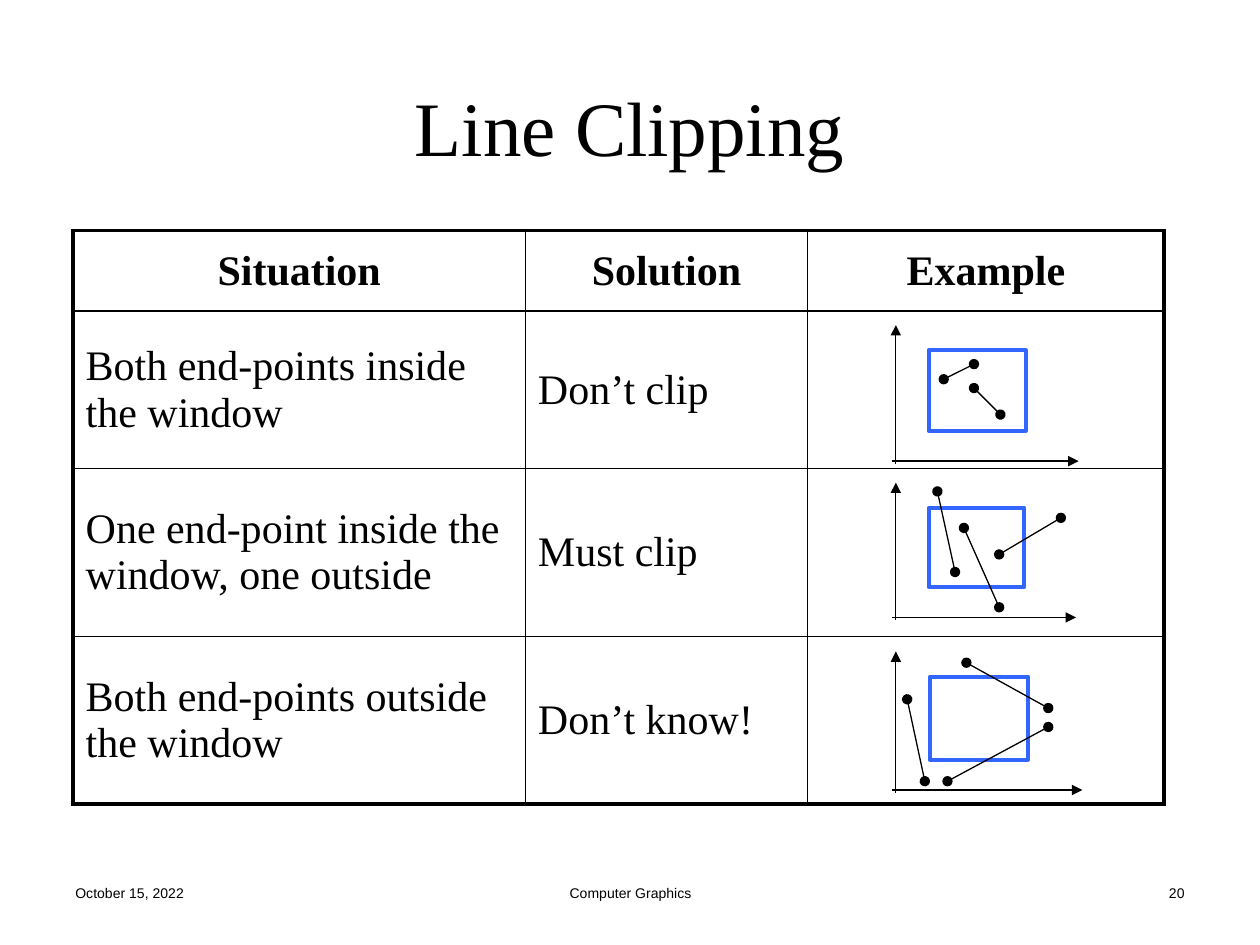
from dataclasses import dataclass

from lxml.etree import SubElement
from pptx import Presentation
from pptx.dml.color import RGBColor
from pptx.enum.shapes import MSO_CONNECTOR, MSO_SHAPE
from pptx.enum.text import MSO_ANCHOR, PP_ALIGN
from pptx.oxml.ns import qn
from pptx.util import Inches, Pt

LINE = MSO_CONNECTOR.STRAIGHT
RECT = MSO_SHAPE.RECTANGLE
MIDDLE = MSO_ANCHOR.MIDDLE
LEFT, CENTER, RIGHT = PP_ALIGN.LEFT, PP_ALIGN.CENTER, PP_ALIGN.RIGHT

WIDE, HIGH = Inches(10), Inches(7.5)
UNIT = WIDE // 1000  # the slide is a grid of 1000 columns by 750 rows
INK, BLUE = "000000", "3366FF"
SERIF, SANS = "Times New Roman", "Arial"
THICK, THIN = 2.25, 1

COLS = (359, 224, 283)
ROWS = (64, 125, 133, 133)
TEXTS = (
    ("Situation", "Solution", "Example"),
    ("Both end-points inside the window", "Don’t clip", ""),
    ("One end-point inside the window, one outside", "Must clip", ""),
    ("Both end-points outside the window", "Don’t know!", ""),
)

Point = tuple[int, int]


@dataclass
class Plot:
    """Axes at a floor row; all other points count right and up from the origin."""
    floor: int
    reach: int
    rise: int
    frame: tuple[int, int, int, int]
    lines: tuple[tuple[Point, Point], ...]


@dataclass
class Note:
    text: str
    left: int
    width: int
    align: PP_ALIGN


ORIGIN = 711
PLOTS = (
    Plot(366, 145, 108, (26, 88, 77, 64),
         (((38, 65), (62, 77)), ((62, 58), (83, 37)))),
    Plot(490, 143, 107, (26, 87, 76, 63),
         (((82, 50), (131, 79)), ((54, 71), (82, 8)), ((33, 100), (47, 36)))),
    Plot(627, 148, 110, (27, 90, 78, 66),
         (((56, 101), (121, 65)), ((41, 7), (121, 50)), ((9, 72), (23, 7)))),
)
NOTES = (
    Note("October 15, 2022", 50, 233, LEFT),
    Note("Computer Graphics", 342, 317, CENTER),
    Note("20", 717, 233, RIGHT),
)


def grid(*marks: int) -> list[int]:
    return [UNIT * mark for mark in marks]


def paint(code: str) -> RGBColor:
    return RGBColor.from_string(code)


def style(frame, face: str, size: float, align: PP_ALIGN, bold: bool = False) -> None:
    for para in frame.paragraphs:
        para.alignment = align
        for run in para.runs:
            font = run.font
            font.name, font.size, font.bold = face, Pt(size), bold
            font.color.rgb = paint(INK)


def edge(cell, side: str, width: float) -> None:
    line = SubElement(cell._tc.get_or_add_tcPr(), qn(f"a:ln{side}"), w=str(Pt(width)))
    fill = SubElement(line, qn("a:solidFill"))
    SubElement(fill, qn("a:srgbClr"), val=INK)


def add_grid(slide) -> None:
    """Add the table with a thick outline and thin inner rules."""
    last, end = len(ROWS) - 1, len(COLS) - 1
    table = slide.shapes.add_table(
        len(ROWS), len(COLS), *grid(58, 183, sum(COLS), sum(ROWS))).table
    table.horz_banding = False
    for col, width in zip(table.columns, COLS):
        col.width = UNIT * width
    for i, (row, height) in enumerate(zip(table.rows, ROWS)):
        row.height = UNIT * height
        for j, cell in enumerate(row.cells):
            outer = {"L": j == 0, "R": j == end, "T": i == 0, "B": i == last}
            for side, thick in outer.items():
                edge(cell, side, THICK if thick else THIN)
            cell.fill.background()
            cell.vertical_anchor = MIDDLE
            cell.text_frame.text = TEXTS[i][j]
            style(cell.text_frame, SERIF, 24, LEFT if i else CENTER, i == 0)


def add_line(group, plot: Plot, start: Point, stop: Point, **ends: str) -> None:
    (x, y), (u, v) = start, stop
    marks = grid(ORIGIN + x, plot.floor - y, ORIGIN + u, plot.floor - v)
    line = group.shapes.add_connector(LINE, *marks)
    line.line.color.rgb = paint(INK)
    line.line.width = Pt(0.75)
    props = line._element.spPr
    for end, kind in ends.items():
        SubElement(props.find(qn("a:ln")), qn(f"a:{end}End"), type=kind)
    SubElement(props, qn("a:effectLst"))


def add_plot(slide, plot: Plot) -> None:
    group = slide.shapes.add_group_shape()
    add_line(group, plot, (-3, 0), (plot.reach, 0), tail="triangle")
    add_line(group, plot, (0, -2), (0, plot.rise), tail="triangle")
    x, y, width, height = plot.frame
    box = group.shapes.add_shape(
        RECT, *grid(ORIGIN + x, plot.floor - y, width, height))
    box.shadow.inherit = False
    box.fill.background()
    box.line.color.rgb = paint(BLUE)
    box.line.width = Pt(THICK)
    for start, stop in plot.lines:
        add_line(group, plot, start, stop, head="oval", tail="oval")


def add_note(slide, note: Note) -> None:
    box = slide.shapes.add_textbox(*grid(note.left, 683, note.width, 52))
    frame = box.text_frame
    frame.word_wrap = True
    frame.vertical_anchor = MIDDLE
    frame.text = note.text
    style(frame, SANS, 8, note.align)


def add_title(slide, text: str) -> None:
    title = slide.shapes.title
    title.left, title.top, title.width, title.height = grid(50, 30, 900, 125)
    frame = title.text_frame
    frame.vertical_anchor = MIDDLE
    frame.margin_top = Inches(0.19)
    frame.text = text
    style(frame, SERIF, 44, CENTER)


def main() -> None:
    deck = Presentation()
    deck.slide_width, deck.slide_height = WIDE, HIGH
    slide = deck.slides.add_slide(deck.slide_layouts.get_by_name("Title Only"))
    for note in NOTES:
        add_note(slide, note)
    add_title(slide, "Line Clipping")
    add_grid(slide)
    for plot in PLOTS:
        add_plot(slide, plot)
    deck.save("out.pptx")


if __name__ == "__main__":
    main()
